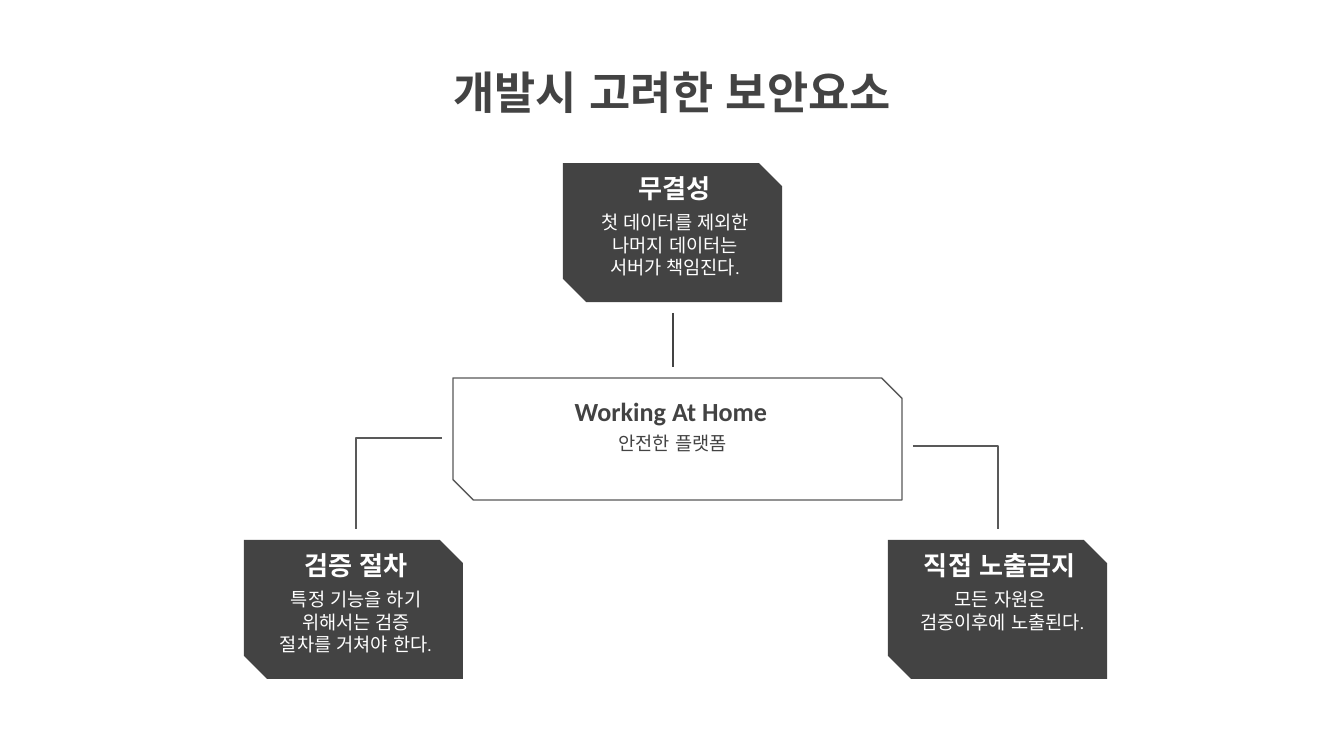
"""Build a slide on the security factors considered during development."""
from lxml import etree
from pptx import Presentation
from pptx.dml.color import RGBColor
from pptx.enum.lang import MSO_LANGUAGE_ID
from pptx.enum.shapes import MSO_CONNECTOR, MSO_SHAPE
from pptx.enum.text import MSO_ANCHOR, MSO_AUTO_SIZE, PP_ALIGN
from pptx.oxml.ns import qn
from pptx.util import Pt

PX = 914400 / 134.4
DARK = RGBColor(0x43, 0x43, 0x43)
GRAY = RGBColor(0x59, 0x59, 0x59)
WHITE = RGBColor(0xFF, 0xFF, 0xFF)
SNIPPED = MSO_SHAPE.SNIP_2_DIAG_RECTANGLE
STRAIGHT, ELBOW = MSO_CONNECTOR.STRAIGHT, MSO_CONNECTOR.ELBOW
TOP, BOTTOM = MSO_ANCHOR.TOP, MSO_ANCHOR.BOTTOM
CENTER = PP_ALIGN.CENTER
NO_AUTOFIT = MSO_AUTO_SIZE.NONE
KOREAN = MSO_LANGUAGE_ID.KOREAN


def px(*lengths):
    return [round(length * PX) for length in lengths]


def write(box, text, size=10, font="Roboto Condensed", color=WHITE, bold=False, anchor=TOP):
    frame = box.text_frame
    frame.word_wrap = True
    frame.auto_size = NO_AUTOFIT
    frame.vertical_anchor = anchor
    inset = px(13)[0]
    frame.margin_left = frame.margin_right = inset
    frame.margin_top = frame.margin_bottom = inset
    para = frame.paragraphs[0]
    para.alignment = CENTER
    span = para.add_run()
    span.text = text
    span.font.name = font
    span.font.size = Pt(size)
    span.font.bold = bold
    span.font.color.rgb = color
    span.font.language_id = KOREAN


deck = Presentation()
deck.slide_width, deck.slide_height = px(1344, 756)
page = deck.slides.add_slide(deck.slide_layouts[5])

title = page.shapes.title
title.left, title.top, title.width, title.height = px(289, 52, 766, 138)
write(title, "개발시 고려한 보안요소", size=24, font="Calibri", color=DARK, bold=True)

factors = [
    (244, 540, "검증 절차", "특정 기능을 하기 위해서는 검증 절차를 거쳐야 한다."),
    (888, 540, "직접 노출금지", "모든 자원은 검증이후에 노출된다."),
    (563, 163, "무결성", "첫 데이터를 제외한 나머지 데이터는 서버가 책임진다."),
]
for left, top, heading, detail in factors:
    card = page.shapes.add_shape(SNIPPED, *px(left, top, 219, 139))
    card.shadow.inherit = False
    card.fill.solid()
    card.fill.fore_color.rgb = DARK
    card.line.fill.background()
    heading_box = page.shapes.add_textbox(*px(left + 7, top - 4, 210, 58))
    write(heading_box, heading, size=14, font="Calibri", bold=True, anchor=BOTTOM)
    detail_box = page.shapes.add_textbox(*px(left + 17, top + 35, 190, 91))
    write(detail_box, detail)

platform = page.shapes.add_shape(SNIPPED, *px(453, 378, 449, 122))
platform.shadow.inherit = False
platform.fill.background()
platform.line.color.rgb = GRAY
platform.line.width = Pt(0.75)
platform_name = page.shapes.add_textbox(*px(544, 382, 254, 58))
write(platform_name, "Working At Home", size=14, font="Calibri", color=DARK, bold=True, anchor=BOTTOM)
platform_detail = page.shapes.add_textbox(*px(469, 419, 407, 121))
write(platform_detail, "안전한 플랫폼", color=DARK)

links = [
    (STRAIGHT, DARK, (673, 313, 673, 367)),
    (ELBOW, GRAY, (442, 438, 356, 529)),
    (ELBOW, GRAY, (913, 446, 998, 529)),
]
for kind, color, ends in links:
    link = page.shapes.add_connector(kind, *px(*ends))
    link.line.color.rgb = color
    link.line.width = Pt(0.75)
    properties = link._element.spPr
    etree.SubElement(properties, qn("a:effectLst"))
    if kind == ELBOW:
        guides = properties.find(qn("a:prstGeom")).find(qn("a:avLst"))
        etree.SubElement(guides, qn("a:gd"), name="adj1", fmla="val 100000")

deck.save("out.pptx")
